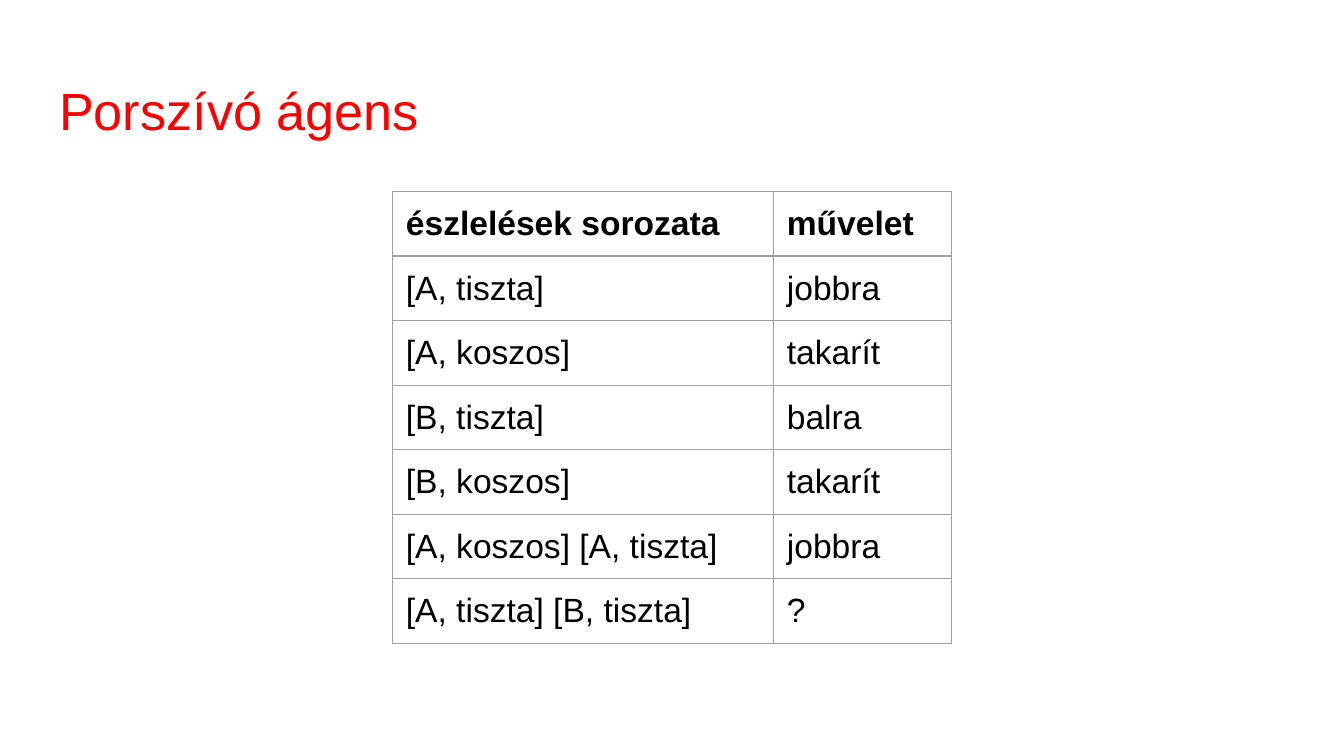
from typing import NamedTuple

from lxml.etree import SubElement
from pptx import Presentation
from pptx.dml.color import RGBColor
from pptx.enum.text import MSO_ANCHOR, PP_ALIGN
from pptx.oxml.ns import qn
from pptx.util import Pt

PX = 4572  # EMU per px, 200 px to the inch
INSET = 20
FONT = "Arial"
COLORS = {"title": "FF0000", "text": "000000", "border": "9E9E9E", "bg": "FFFFFF"}


class Row(NamedTuple):
    percepts: str
    action: str


ROWS = [
    Row("észlelések sorozata", "művelet"),
    Row("[A, tiszta]", "jobbra"),
    Row("[A, koszos]", "takarít"),
    Row("[B, tiszta]", "balra"),
    Row("[B, koszos]", "takarít"),
    Row("[A, koszos] [A, tiszta]", "jobbra"),
    Row("[A, tiszta] [B, tiszta]", "?"),
]
COL_WIDTHS = (567, 265)
ROW_HEIGHT = 84


def px(n: int) -> int:
    return n * PX


def write(tf, text: str, *, size: int, color: str, bold: bool = False) -> None:
    p = tf.paragraphs[0]
    p.alignment = PP_ALIGN.LEFT
    r = p.add_run()
    r.text = text
    r.font.name, r.font.size, r.font.bold = FONT, Pt(size), bold
    r.font.color.rgb = RGBColor.from_string(COLORS[color])


def set_insets(box) -> None:
    box.margin_left = box.margin_right = px(INSET)
    box.margin_top = box.margin_bottom = px(INSET)


def add_borders(cell, color: str, width: float) -> None:
    tcPr = cell._tc.get_or_add_tcPr()
    for side in ("a:lnL", "a:lnR", "a:lnT", "a:lnB"):
        ln = SubElement(tcPr, qn(side), w=str(Pt(width)))
        fill = SubElement(ln, qn("a:solidFill"))
        SubElement(fill, qn("a:srgbClr"), val=COLORS[color])


def add_title(s, text: str) -> None:
    sp = s.shapes.title
    sp.left, sp.top, sp.width, sp.height = px(68), px(97), px(1864), px(125)
    tf = sp.text_frame
    tf.word_wrap = True
    tf.vertical_anchor = MSO_ANCHOR.TOP
    set_insets(tf)
    write(tf, text, size=28, color="title")


def add_action_table(s, rows: list[Row], left: int, top: int) -> None:
    table = s.shapes.add_table(
        len(rows), len(COL_WIDTHS), px(left), px(top),
        px(sum(COL_WIDTHS)), px(ROW_HEIGHT * len(rows)),
    ).table
    table.horz_banding = False
    for col, width in zip(table.columns, COL_WIDTHS):
        col.width = px(width)
    for i, row in enumerate(rows):
        table.rows[i].height = px(ROW_HEIGHT)
        for j, text in enumerate(row):
            cell = table.cell(i, j)
            set_insets(cell)
            add_borders(cell, "border", 0.75)
            cell.fill.background()
            write(cell.text_frame, text, size=18, color="text", bold=i == 0)


prs = Presentation()
prs.slide_width, prs.slide_height = px(2000), px(1125)
s = prs.slides.add_slide(prs.slide_layouts[5])  # title only
s.background.fill.solid()
s.background.fill.fore_color.rgb = RGBColor.from_string(COLORS["bg"])

# Title
add_title(s, "Porszívó ágens")

# Percept sequences and the action for each
add_action_table(s, ROWS, left=584, top=285)

prs.save("out.pptx")
